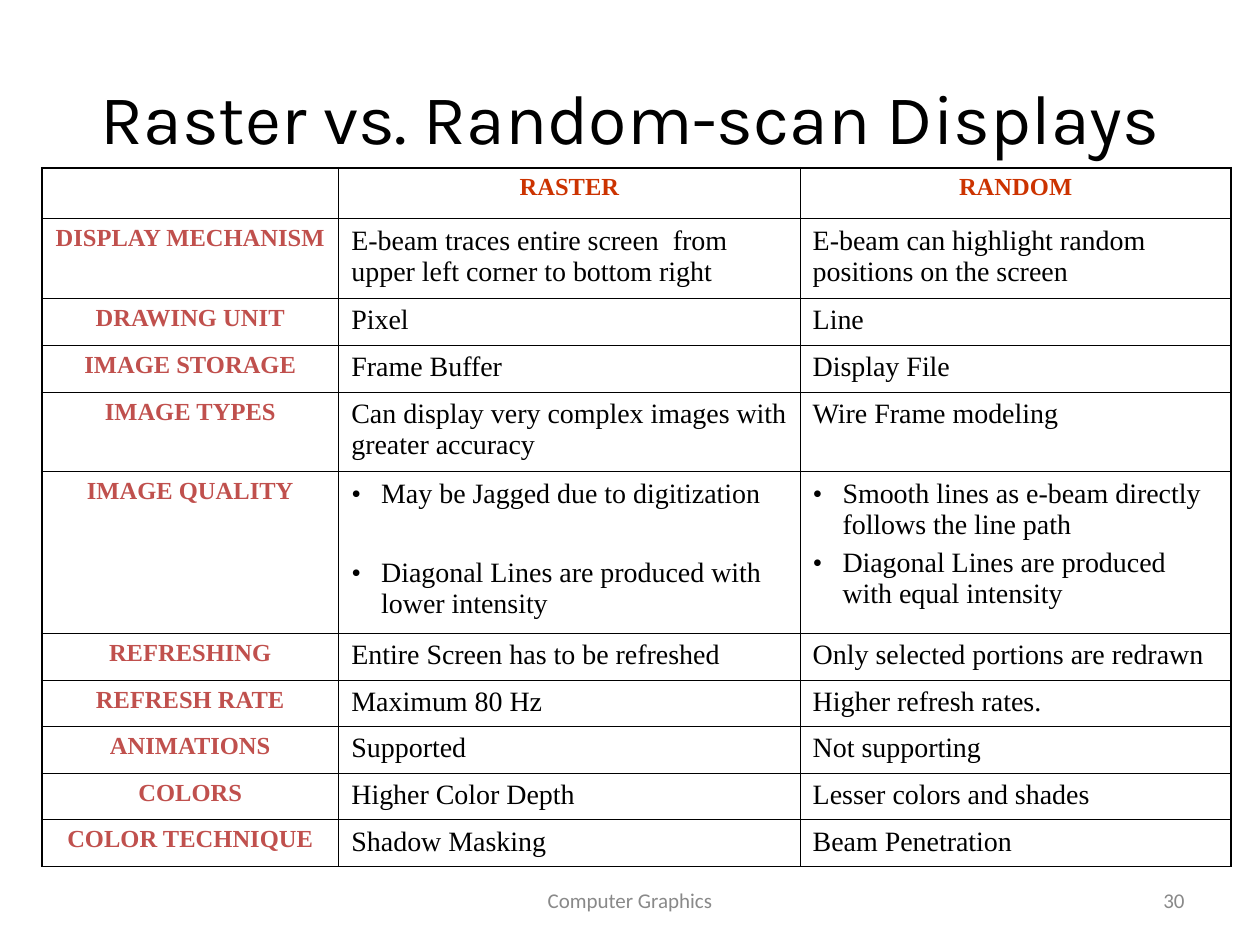
from dataclasses import dataclass

from lxml import etree
from pptx import Presentation
from pptx.dml.color import RGBColor
from pptx.enum.text import MSO_ANCHOR, PP_ALIGN
from pptx.oxml.ns import qn
from pptx.util import Cm, Pt

LEFT, CENTER, RIGHT = PP_ALIGN.LEFT, PP_ALIGN.CENTER, PP_ALIGN.RIGHT
MIDDLE = MSO_ANCHOR.MIDDLE
COLORS = {"ink": "000000", "head": "CC3300", "label": "C0504D", "foot": "898989"}
SERIF = "Times New Roman"
THIN, THICK = 0.45, 1.08
WIDTHS = (5.99, 9.3, 8.69)
HEAD, LINE = 1.03, 0.94


@dataclass
class Style:
    font: str
    size: float
    color: str
    align: PP_ALIGN = LEFT
    bold: bool = False
    before: float = 0


@dataclass
class Label:
    text: str
    left: float
    top: float
    width: float
    height: float
    style: Style


@dataclass
class Row:
    label: str
    raster: tuple[str, ...]
    random: tuple[str, ...]
    height: float = LINE
    gap: float = 4


TITLE = Style("Karla", 40, "ink", CENTER)
FOOT = Style("Calibri", 12, "foot", CENTER)
NUMBER = Style("Calibri", 12, "foot", RIGHT)
TOP = Style(SERIF, 14, "head", CENTER, True, 3.5)
SIDE = Style(SERIF, 14, "label", CENTER, True, 3.5)
BODY = Style(SERIF, 16, "ink", before=4)

LABELS = (
    Label("Computer Graphics", 8.68, 17.65, 8.04, 1.01, FOOT),
    Label("30", 18.2, 17.65, 5.93, 1.01, NUMBER),
    Label("Raster vs. Random-scan Displays", 1.27, 0.76, 22.86, 3.18, TITLE),
)
ROWS = (
    Row("DISPLAY MECHANISM",
        ("E-beam traces entire screen  from upper left corner to bottom right",),
        ("E-beam can highlight random positions on the screen",), 1.61),
    Row("DRAWING UNIT", ("Pixel",), ("Line",)),
    Row("IMAGE STORAGE", ("Frame Buffer",), ("Display File",)),
    Row("IMAGE TYPES", ("Can display very complex images with greater accuracy",),
        ("Wire Frame modeling",), 1.61),
    Row("IMAGE QUALITY",
        ("May be Jagged due to digitization",
         "Diagonal Lines are produced with lower intensity"),
        ("Smooth lines as e-beam directly follows the line path",
         "Diagonal Lines are produced with equal intensity"), 3.25, 27.5),
    Row("REFRESHING", ("Entire Screen has to be refreshed",),
        ("Only selected portions are redrawn",)),
    Row("REFRESH RATE", ("Maximum 80 Hz",), ("Higher refresh rates.",)),
    Row("ANIMATIONS", ("Supported",), ("Not supporting",)),
    Row("COLORS", ("Higher Color Depth",), ("Lesser colors and shades",)),
    Row("COLOR TECHNIQUE", ("Shadow Masking",), ("Beam Penetration",)),
)


def set_style(para, style: Style) -> None:
    """Apply a text style to a paragraph."""
    para.alignment = style.align
    para.space_before = Pt(style.before)
    para.font.name = style.font
    para.font.size = Pt(style.size)
    para.font.bold = style.bold
    para.font.color.rgb = RGBColor.from_string(COLORS[style.color])


def add_label(slide, label: Label) -> None:
    """Add a text box with one styled line."""
    box = slide.shapes.add_textbox(
        Cm(label.left), Cm(label.top), Cm(label.width), Cm(label.height))
    frame = box.text_frame
    frame.word_wrap = True
    frame.vertical_anchor = MIDDLE
    frame.text = label.text
    set_style(frame.paragraphs[0], label.style)


def add_bullet(para) -> None:
    """Give a paragraph a round bullet and a hanging indent."""
    props = para._p.get_or_add_pPr()
    props.set("marL", str(Cm(0.6)))
    props.set("indent", str(-Cm(0.6)))
    etree.SubElement(props, qn("a:buFont")).set("typeface", SERIF)
    mark = etree.SubElement(props, qn("a:buChar"))
    mark.set("char", "•")
    fonts = props.find(qn("a:defRPr"))
    if fonts is not None:
        props.append(fonts)


def fill_cell(cell, lines: tuple[str, ...], style: Style, gap: float = 4) -> None:
    """Write lines in a cell, with bullets when there are several."""
    frame = cell.text_frame
    frame.text = "\n".join(lines)
    for place, para in enumerate(frame.paragraphs):
        set_style(para, style)
        if place:
            para.space_before = Pt(gap)
        if len(lines) > 1:
            add_bullet(para)


def add_edges(cell, edges: dict[str, bool]) -> None:
    """Draw the cell's borders, thick on the table's rim."""
    props = cell._tc.get_or_add_tcPr()
    for side, rim in edges.items():
        line = etree.SubElement(props, qn(f"a:ln{side}"))
        line.set("w", str(Pt(THICK if rim else THIN)))
        fill = etree.SubElement(line, qn("a:solidFill"))
        etree.SubElement(fill, qn("a:srgbClr")).set("val", COLORS["ink"])
    cell.fill.background()


def add_grid(slide) -> None:
    """Add the table that compares both displays."""
    heights = [HEAD] + [row.height for row in ROWS]
    count, wide = len(heights), len(WIDTHS)
    table = slide.shapes.add_table(
        count, wide, Cm(0.84), Cm(3.38), Cm(sum(WIDTHS)), Cm(sum(heights))).table
    table.first_row = table.horz_banding = False
    for col, width in zip(table.columns, WIDTHS):
        col.width = Cm(width)
    for row, height in zip(table.rows, heights):
        row.height = Cm(height)
    for col, text in enumerate(("RASTER", "RANDOM"), 1):
        fill_cell(table.cell(0, col), (text,), TOP)
    for place, row in enumerate(ROWS, 1):
        fill_cell(table.cell(place, 0), (row.label,), SIDE)
        fill_cell(table.cell(place, 1), row.raster, BODY, row.gap)
        fill_cell(table.cell(place, 2), row.random, BODY)
    for row in range(count):
        for col in range(wide):
            add_edges(table.cell(row, col), {
                "L": col == 0, "R": col == wide - 1,
                "T": row == 0, "B": row == count - 1})


def main() -> None:
    """Build and save the slide."""
    deck = Presentation()
    deck.slide_width, deck.slide_height = Cm(25.4), Cm(19.05)
    slide = deck.slides.add_slide(deck.slide_layouts[6])
    for label in LABELS:
        add_label(slide, label)
    add_grid(slide)
    deck.save("out.pptx")


if __name__ == "__main__":
    main()
